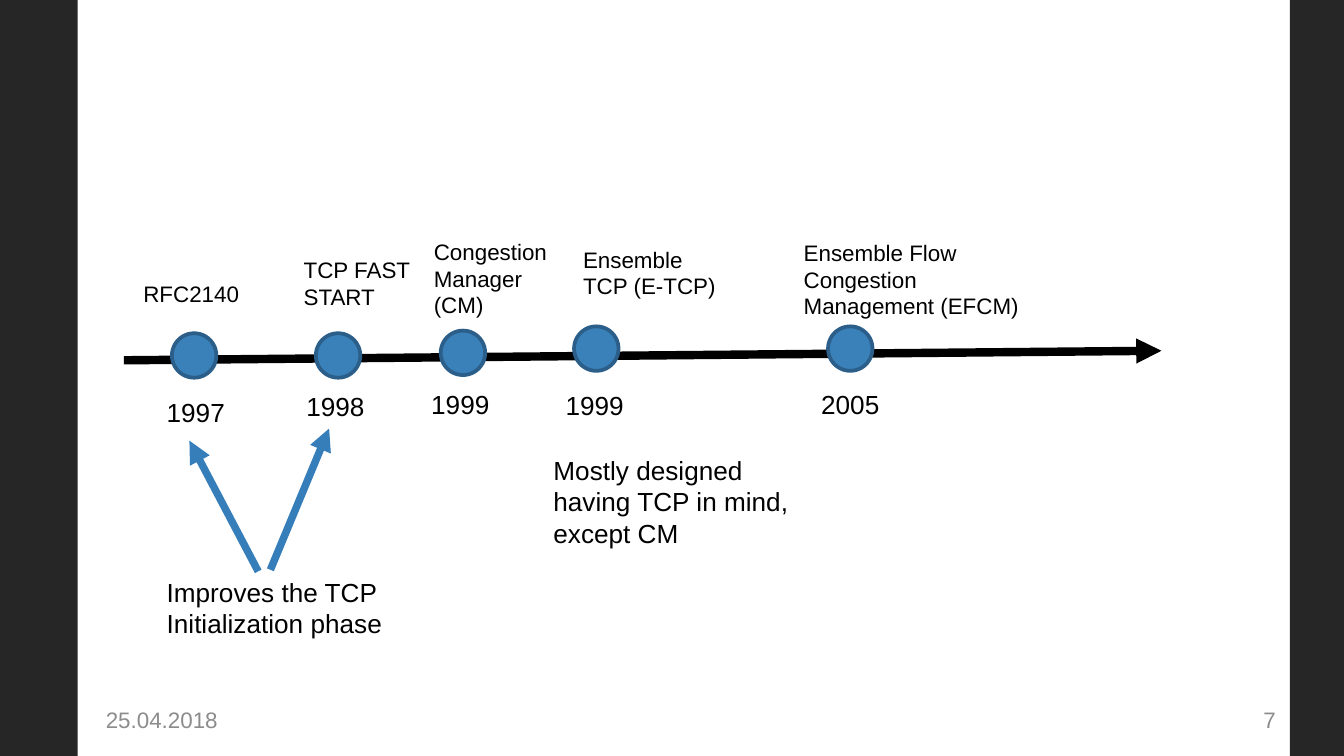
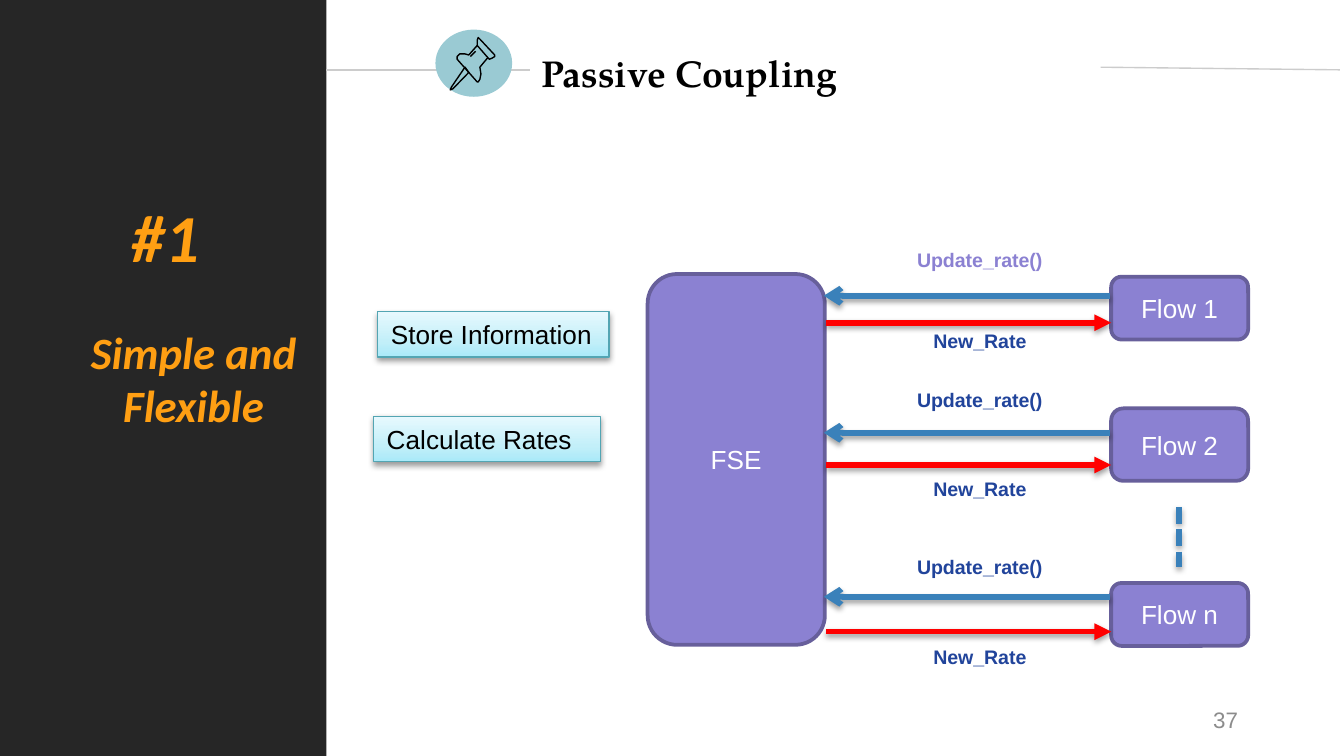
from lxml.etree import SubElement
from pptx import Presentation
from pptx.dml.color import RGBColor
from pptx.enum.dml import MSO_LINE
from pptx.enum.shapes import MSO_CONNECTOR, MSO_SHAPE as SHAPE
from pptx.enum.text import MSO_ANCHOR as ANCHOR, MSO_AUTO_SIZE as AUTO_SIZE, PP_ALIGN as ALIGN
from pptx.oxml.ns import qn
from pptx.util import Cm, Pt

SLIDE_WIDTH, SLIDE_HEIGHT = 25.4, 14.29
BLACK, WHITE, RED = "000000", "FFFFFF", "FF0000"
DARK, GREY, RULE = "262626", "8C8C8C", "CCCCCC"
BLUE, BLUE_EDGE, ARROW_BLUE, NAVY = "3A81BA", "2B5F8A", "367EB9", "21449B"
PURPLE, PURPLE_EDGE = "8B81D2", "675F9B"
ORANGE, TEAL, TEAL_EDGE = "FF9F13", "9ACAD3", "53A5B3"
BOX_GRADIENT = [(0, "A9E9F9"), (35, "C3EFF9"), (100, "E7F9FE")]

BODY = {"name": "Arial", "size": Pt(14)}
SMALL = {"name": "Arial", "size": Pt(12)}
CALL = {"name": "Arial", "size": Pt(10.5), "bold": True}
TITLE = {"name": "TeX Gyre Pagella", "size": Pt(20), "bold": True}
SLOGAN = {"name": "Calibri", "size": Pt(24), "bold": True, "italic": True}
NUMBER = {**SLOGAN, "size": Pt(36)}

MILESTONES = [
    ((3.25, 6.3), "RFC2140", (2.46, 5.18, 2.64, 0.76), "1997", (2.9, 7.37, 2.64, 0.86)),
    ((5.97, 6.3), "TCP FAST START", (5.49, 4.72, 2.64, 1.27), "1998", (5.54, 7.26, 2.64, 0.86)),
    ((8.33, 6.25), "Congestion Manager (CM)", (7.95, 4.37, 2.75, 1.8), "1999", (7.9, 7.21, 2.64, 0.86)),
    ((10.85, 6.17), "Ensemble TCP (E-TCP)", (10.77, 4.52, 3.1, 1.27), "1999", (10.44, 7.24, 1.63, 0.86)),
    ((15.65, 6.17), "Ensemble Flow Congestion Management (EFCM)", (14.94, 4.39, 4.83, 1.8),
     "2005", (15.27, 7.21, 1.63, 0.86)),
]
FLOWS = [
    ("Flow 1", 5.23, 1.19, 5.59, 6.1, 4.57, 6.1, PURPLE),
    ("Flow 2", 7.72, 1.37, 8.18, 8.79, 7.21, 8.89, NAVY),
    ("Flow n", 11.02, 1.19, 11.28, 11.94, 10.36, 12.07, NAVY),
]
PIN_OUTLINES = [
    ([(8.79, 1.27), (8.53, 1.65), (8.51, 1.7), (8.56, 1.68), (8.86, 1.37)], True),
    ([(9.02, 0.86), (9.22, 1.09), (9.25, 1.12), (9.3, 1.1), (9.35, 1.07), (9.35, 1.04),
      (9.07, 0.74), (9.04, 0.71), (9.02, 0.76)], True),
    ([(9.02, 0.86), (8.86, 1.04), (8.79, 1.02), (8.69, 1.02), (8.64, 1.07), (8.64, 1.12),
      (9.02, 1.55), (9.04, 1.55), (9.07, 1.5), (9.09, 1.4), (9.07, 1.27), (9.22, 1.09)], False),
    ([(8.89, 1.07), (8.99, 0.97)], False),
]


def color(value):
    return RGBColor.from_string(value)


def lengths(values):
    return [Cm(value) for value in values]


def set_attributes(target, values):
    for name, value in values.items():
        setattr(target, name, value)


def write_text(shape, text, font, ink, align=ALIGN.LEFT, **frame):
    set_attributes(shape.text_frame, {"word_wrap": True, **frame})
    paragraph = shape.text_frame.paragraphs[0]
    paragraph.alignment = align
    run = paragraph.add_run()
    run.text = text
    set_attributes(run.font, font)
    run.font.color.rgb = color(ink)


def add_label(slide, box, text, font=BODY, ink=BLACK, align=ALIGN.LEFT, **frame):
    shape = slide.shapes.add_textbox(*lengths(box))
    write_text(shape, text, font, ink, align, **{"auto_size": AUTO_SIZE.SHAPE_TO_FIT_TEXT, **frame})


def set_line(shape, ink, width):
    shape.line.color.rgb = color(ink)
    shape.line.width = Pt(width)


def add_block(slide, kind, box, fill=None, edge=None, width=2):
    shape = slide.shapes.add_shape(kind, *lengths(box))
    shape.shadow.inherit = False
    if fill:
        shape.fill.solid()
        shape.fill.fore_color.rgb = color(fill)
    if edge:
        set_line(shape, edge, width)
    else:
        shape.line.fill.background()
    return shape


def add_shadow(effects):
    shadow = SubElement(effects, qn("a:outerShdw"), blurRad=str(Pt(3.1)), dist=str(Pt(1.6)),
                        dir="5400000", rotWithShape="0")
    ink = SubElement(shadow, qn("a:srgbClr"), val=BLACK)
    SubElement(ink, qn("a:alpha"), val="38000")


def add_line(slide, start, end, ink, width, arrow=None, shadow=False, dash=None):
    line = slide.shapes.add_connector(MSO_CONNECTOR.STRAIGHT, *lengths(start + end))
    set_line(line, ink, width)
    if dash:
        line.line.dash_style = dash
    properties = line._element.spPr
    if arrow:
        SubElement(properties.find(qn("a:ln")), qn("a:tailEnd"), type=arrow)
    effects = SubElement(properties, qn("a:effectLst"))
    if shadow:
        add_shadow(effects)


def add_band(slide, left, width):
    return add_block(slide, SHAPE.RECTANGLE, (left, 0, width, SLIDE_HEIGHT), DARK)


def add_footer(slide, left, text, align=ALIGN.RIGHT):
    add_label(slide, (left, 13.23, 5.72, 0.76), text, SMALL, GREY, align,
              vertical_anchor=ANCHOR.MIDDLE, auto_size=AUTO_SIZE.NONE)


def add_node(slide, box, text):
    node = add_block(slide, SHAPE.ROUNDED_RECTANGLE, box, PURPLE, PURPLE_EDGE)
    write_text(node, text, BODY, WHITE, ALIGN.CENTER, vertical_anchor=ANCHOR.MIDDLE)


def add_task(slide, box, text):
    task = add_block(slide, SHAPE.RECTANGLE, box, edge=TEAL_EDGE, width=0.75)
    task.fill.gradient()
    task.fill.gradient_angle = 90
    properties = task._element.spPr
    stops = properties.find(qn("a:gradFill")).find(qn("a:gsLst"))
    for stop in list(stops):
        stops.remove(stop)
    for position, ink in BOX_GRADIENT:
        stop = SubElement(stops, qn("a:gs"), pos=str(position * 1000))
        SubElement(stop, qn("a:srgbClr"), val=ink)
    add_shadow(properties.find(qn("a:effectLst")))
    write_text(task, text, BODY, BLACK, vertical_anchor=ANCHOR.TOP,
               auto_size=AUTO_SIZE.SHAPE_TO_FIT_TEXT)


def add_pin(slide):
    add_block(slide, SHAPE.OVAL, (8.23, 0.56, 1.45, 1.27), TEAL)
    pin = slide.shapes.add_group_shape()
    for points, closed in PIN_OUTLINES:
        start, *others = [lengths(point) for point in points]
        builder = pin.shapes.build_freeform(*start)
        builder.add_line_segments(others, close=closed)
        outline = builder.convert_to_shape()
        outline.shadow.inherit = False
        outline.fill.background()
        set_line(outline, BLACK, 0.75)


def add_flow(slide, name, top, height, update_y, rate_y, update_top, rate_top, update_ink):
    add_node(slide, (21.0, top, 2.59, height), name)
    add_line(slide, (20.98, update_y), (15.57, update_y), BLUE, 3, "arrow", shadow=True)
    add_line(slide, (15.61, rate_y), (21.0, rate_y), RED, 3, "triangle", shadow=True)
    for text, label_top, ink in [("Update_rate()", update_top, update_ink), ("New_Rate", rate_top, NAVY)]:
        add_label(slide, (16.08, label_top, 4.88, 0.71), text, CALL, ink, ALIGN.CENTER)


def build_timeline(slide):
    add_footer(slide, 1.75, "25.04.2018", ALIGN.LEFT)
    add_footer(slide, 18.64, "7")
    add_band(slide, 0, 1.47)
    add_band(slide, 24.38, 1.02)
    add_line(slide, (2.34, 6.81), (21.95, 6.63), BLACK, 4.5, "triangle")
    for corner, name, name_box, year, year_box in MILESTONES:
        add_block(slide, SHAPE.OVAL, corner + (0.84, 0.84), BLUE, BLUE_EDGE)
        add_label(slide, name_box, name, SMALL)
        add_label(slide, year_box, year)
    add_line(slide, (4.88, 10.8), (3.58, 8.33), ARROW_BLUE, 4, "triangle")
    add_line(slide, (5.11, 10.77), (6.22, 8.1), ARROW_BLUE, 4, "triangle")
    add_label(slide, (2.9, 10.77, 5.38, 1.45), "Improves the TCP Initialization phase")
    add_label(slide, (10.21, 8.46, 5.44, 2.06), "Mostly designed having TCP in mind, except CM")


def build_coupling(slide):
    add_footer(slide, 17.93, "37")
    sidebar = add_band(slide, 0, 6.17)
    write_text(sidebar, "Simple and Flexible", SLOGAN, ORANGE, ALIGN.CENTER,
               vertical_anchor=ANCHOR.MIDDLE, margin_left=Cm(1.4))
    add_label(slide, (2.24, 3.56, 2.57, 1.8), "#1", NUMBER, ORANGE)
    add_node(slide, (12.24, 5.18, 3.35, 7.01), "FSE")
    for flow in FLOWS:
        add_flow(slide, *flow)
    add_line(slide, (22.28, 9.58), (22.28, 10.72), BLUE, 3, shadow=True, dash=MSO_LINE.SQUARE_DOT)
    add_task(slide, (7.14, 5.89, 4.37, 0.86), "Store Information")
    add_task(slide, (7.06, 7.87, 4.29, 0.86), "Calculate Rates")
    add_line(slide, (6.17, 1.32), (10.01, 1.32), RULE, 0.75)
    add_line(slide, (20.8, 1.27), (25.32, 1.32), RULE, 0.75)
    insets = {f"margin_{side}": Cm(0.25) for side in ("left", "top", "right", "bottom")}
    add_label(slide, (9.98, 0.76, 7.62, 1.22), "Passive Coupling", TITLE,
              vertical_anchor=ANCHOR.MIDDLE, auto_size=AUTO_SIZE.NONE, **insets)
    add_pin(slide)


def main():
    presentation = Presentation()
    presentation.slide_width, presentation.slide_height = lengths((SLIDE_WIDTH, SLIDE_HEIGHT))
    for build in (build_timeline, build_coupling):
        build(presentation.slides.add_slide(presentation.slide_layouts[6]))
    presentation.save("out.pptx")


if __name__ == "__main__":
    main()
